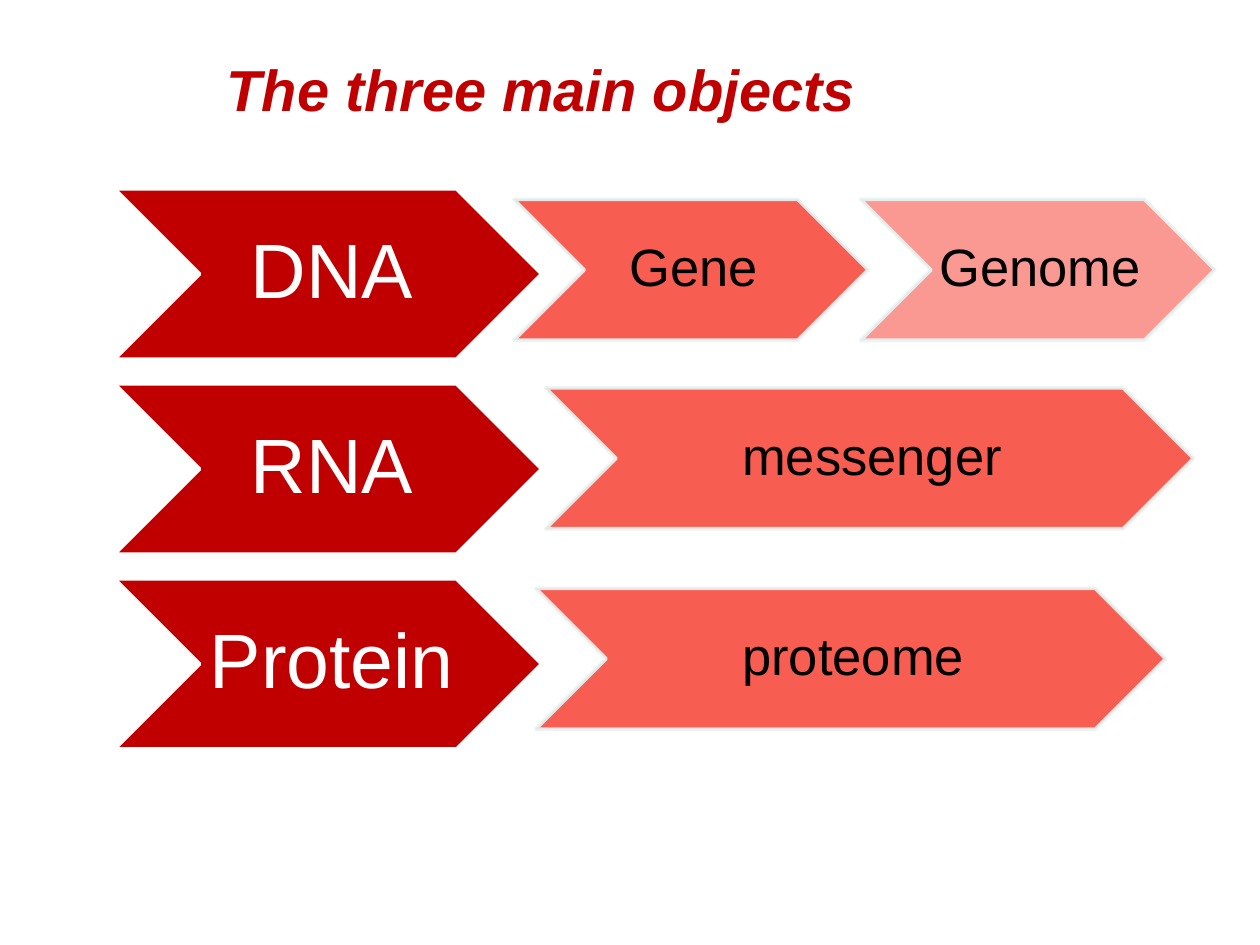
from pptx import Presentation
from pptx.dml.color import RGBColor
from pptx.enum.shapes import MSO_SHAPE
from pptx.enum.text import MSO_ANCHOR, MSO_AUTO_SIZE, PP_ALIGN
from pptx.oxml.ns import qn
from pptx.util import Cm, Pt
from lxml.etree import SubElement

RED, CORAL, PALE = "C00000", "F74C3F", "E7F3F4"
WHITE, BLACK = "FFFFFF", "000000"
TOP, STEP = 3.81, 3.93

# Per row: main label, top of its details, then (label, left, width, opacity)
ROWS = [
    ("DNA", 4.02, [("Genome", 17.35, 7.14, 57), ("Gene", 10.36, 7.14, 90)]),
    ("RNA", 7.82, [("messenger", 11.0, 13.06, 90)]),
    ("Protein", 11.86, [("proteome", 10.8, 12.7, 90)]),
]


def paint(fill, color, alpha=100):
    fill.solid()
    fill.fore_color.rgb = RGBColor.from_string(color)
    if alpha < 100:
        tone = fill._xPr.find(qn("a:solidFill"))[0]
        SubElement(tone, qn("a:alpha")).set("val", str(alpha * 1000))


def write(frame, text, size, color, **style):
    para = frame.paragraphs[0]
    para.alignment = PP_ALIGN.CENTER
    run = para.add_run()
    run.text = text
    font = run.font
    font.name, font.size = "Arial", Pt(size)
    font.color.rgb = RGBColor.from_string(color)
    for name, value in style.items():
        setattr(font, name, value)
    return para


def add_title(slide, text):
    title = slide.shapes.title
    title.left, title.top = Cm(3.61), Cm(0.84)
    title.width, title.height = Cm(14.6), Cm(2.34)
    frame = title.text_frame
    frame.word_wrap = True
    frame.auto_size = MSO_AUTO_SIZE.NONE
    frame.vertical_anchor = MSO_ANCHOR.TOP
    frame.margin_top = Cm(0.24)
    write(frame, text, 33, RED, bold=True, italic=True)


def add_arrow(slide, text, box, fill, line, size, color, inset):
    shape = slide.shapes.add_shape(MSO_SHAPE.CHEVRON, *map(Cm, box))
    shape.shadow.inherit = False
    paint(shape.fill, *fill)
    paint(shape.line.fill, *line)
    shape.line.width = Pt(2)
    frame = shape.text_frame
    frame.word_wrap = True
    frame.vertical_anchor = MSO_ANCHOR.MIDDLE
    frame.margin_left, frame.margin_right = Cm(inset), 0
    frame.margin_top = frame.margin_bottom = Cm(inset / 2)
    write(frame, text, size, color).line_spacing = 0.9


def main():
    deck = Presentation()
    deck.slide_width, deck.slide_height = Cm(25.4), Cm(19.05)
    slide = deck.slides.add_slide(deck.slide_layouts[5])
    add_title(slide, "The three main objects")

    # One main arrow per row, followed by its detail arrows
    for i, (label, top, parts) in enumerate(ROWS):
        box = (2.31, TOP + i * STEP, 8.61, 3.43)
        add_arrow(slide, label, box, (RED,), (WHITE,), 44, WHITE, 0.15)
        for name, left, width, alpha in parts:
            box = (left, top, width, 2.84)
            add_arrow(slide, name, box, (CORAL, alpha), (PALE, 90),
                      30, BLACK, 0.1)

    deck.save("out.pptx")


if __name__ == "__main__":
    main()
